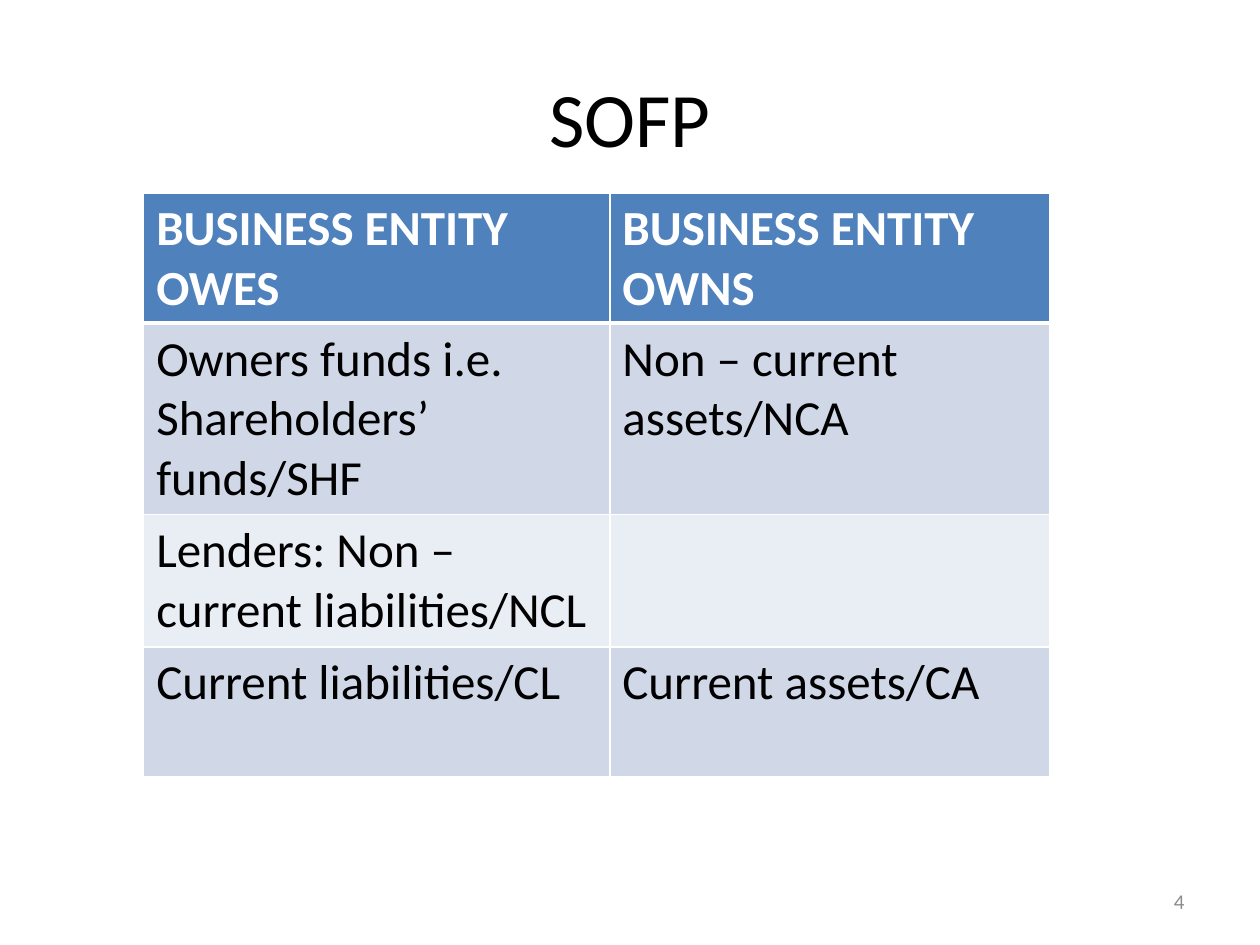
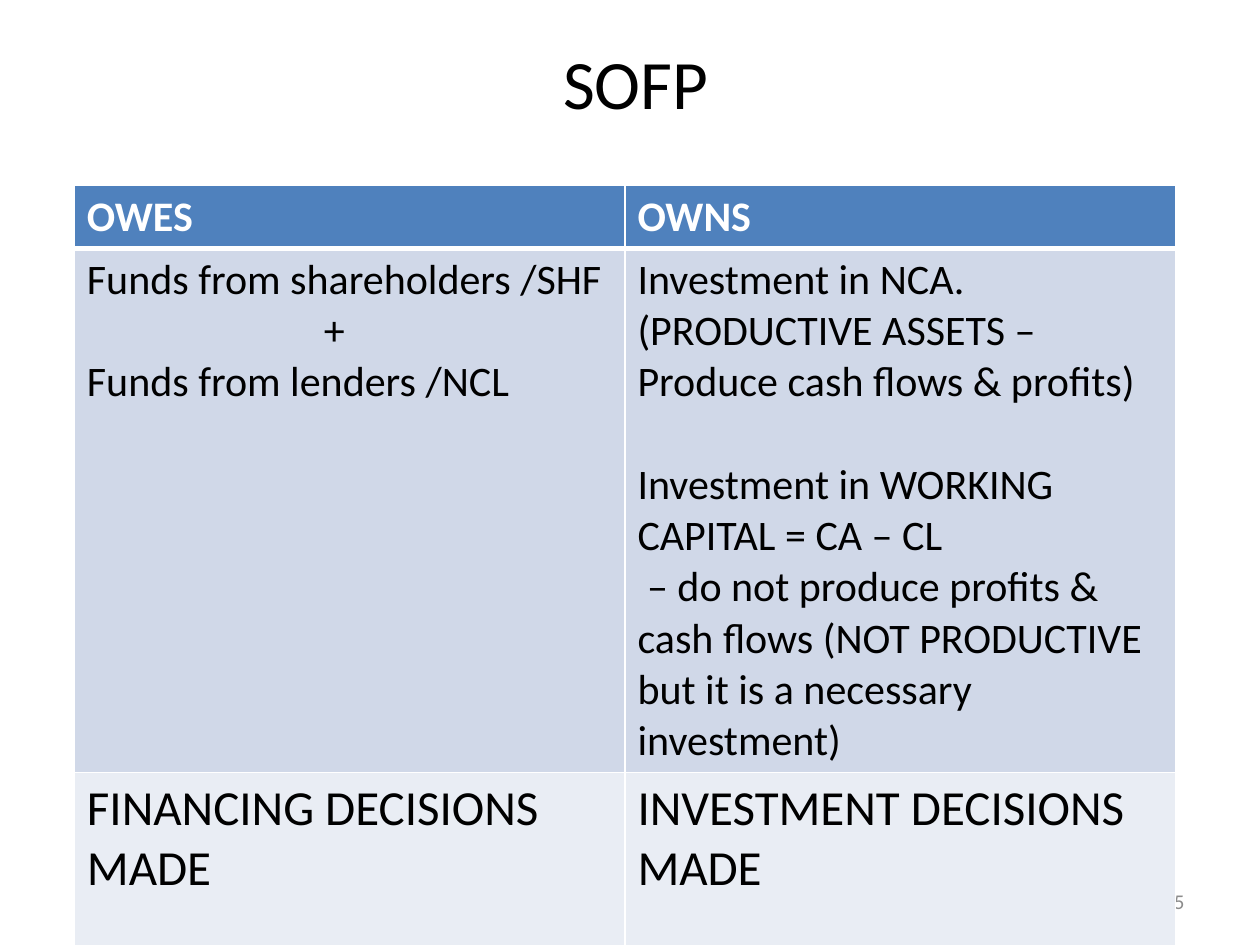
import pptx
import pptx.util
import pptx.dml.color
import pptx.enum.text
import pptx.oxml
import pptx.oxml.ns

Inches, Pt = pptx.util.Inches, pptx.util.Pt
ALIGN = pptx.enum.text.PP_ALIGN

# Shared look
FONT = "Calibri"
BLACK, WHITE, GREY = "000000", "FFFFFF", "8C8C8C"
HEADER, BANDS = "4F81BD", ("D0D8E8", "E9EDF4")
PAGE_NUMBER_BOX = (7.17, 6.95, 2.33, 0.4)


def color(hex_string):
    return pptx.dml.color.RGBColor.from_string(hex_string)


def write(paragraph, text, size, ink, bold=False):
    run = paragraph.add_run()
    run.text = text
    run.font.name, run.font.size, run.font.bold = FONT, Pt(size), bold
    run.font.color.rgb = color(ink)


# A cell is a list of lines: (text, left indent in inches, space before in points)
slides = [
    dict(
        number="4", title_size=44, title_box=(0.5, 0.3, 9, 1.25),
        corner=(1.14, 1.53), columns=(3.7, 3.49), rows=(1.03, 1.52, 1.05, 1.03),
        sizes=(28, 28, 28, 28),
        cells=[
            ([("BUSINESS ENTITY OWES", 0, 0)], [("BUSINESS ENTITY OWNS", 0, 0)]),
            ([("Owners funds i.e. Shareholders’ funds/SHF", 0, 0)],
             [("Non – current assets/NCA", 0, 0)]),
            ([("Lenders: Non – current liabilities/NCL", 0, 0)], []),
            ([("Current liabilities/CL", 0, 0)], [("Current assets/CA", 0, 0)]),
        ]),
    dict(
        number="5", title_size=39.6, title_box=(0.59, 0.3, 8.91, 0.69),
        corner=(0.59, 1.47), columns=(4.37, 4.37), rows=(0.5, 4.16, 1.42),
        sizes=(24, 24, 28),
        cells=[
            ([("OWES", 0, 0)], [("OWNS", 0, 0)]),
            ([("Funds from shareholders /SHF", 0, 0), ("+", 1.88, 0),
              ("Funds from lenders /NCL", 0, 0)],
             [("Investment in NCA. (PRODUCTIVE ASSETS – Produce cash flows & profits)", 0, 0),
              ("Investment in WORKING CAPITAL = CA – CL", 0, 29.3),
              (" – do not produce profits & cash flows (NOT PRODUCTIVE but it is "
               "a necessary investment)", 0, 0)]),
            ([("FINANCING DECISIONS", 0, 0), ("MADE", 0, 0)],
             [("INVESTMENT DECISIONS", 0, 0), ("MADE", 0, 0)]),
        ]),
]

deck = pptx.Presentation()
deck.slide_width, deck.slide_height = Inches(10), Inches(7.5)

for content in slides:
    slide = deck.slides.add_slide(deck.slide_layouts[6])

    # Title and page number
    for box, text, size, ink, align in (
            (content["title_box"], "SOFP", content["title_size"], BLACK, ALIGN.CENTER),
            (PAGE_NUMBER_BOX, content["number"], 12, GREY, ALIGN.RIGHT)):
        frame = slide.shapes.add_textbox(*map(Inches, box)).text_frame
        frame.word_wrap = True
        frame.vertical_anchor = pptx.enum.text.MSO_ANCHOR.MIDDLE
        frame.paragraphs[0].alignment = align
        write(frame.paragraphs[0], text, size, ink)

    # Table of what is owed and owned
    columns, rows = content["columns"], content["rows"]
    extent = (*content["corner"], sum(columns), sum(rows))
    table = slide.shapes.add_table(len(rows), len(columns), *map(Inches, extent)).table
    table.horz_banding = False
    for column, width in zip(table.columns, columns):
        column.width = Inches(width)
    for r, height in enumerate(rows):
        table.rows[r].height = Inches(height)
        for c, lines in enumerate(content["cells"][r]):
            cell = table.cell(r, c)

            # White borders, thicker under the header
            borders = cell._tc.get_or_add_tcPr()
            for side in "LRTB":
                thick = (r, side) in ((0, "B"), (1, "T"))
                borders.append(pptx.oxml.parse_xml(
                    f'<a:ln{side} {pptx.oxml.ns.nsdecls("a")} w="{Pt(3 if thick else 1)}">'
                    f'<a:solidFill><a:srgbClr val="{WHITE}"/></a:solidFill></a:ln{side}>'))
            cell.fill.solid()
            cell.fill.fore_color.rgb = color(BANDS[(r - 1) % 2] if r else HEADER)

            for i, (text, indent, gap) in enumerate(lines):
                frame = cell.text_frame
                paragraph = frame.add_paragraph() if i else frame.paragraphs[0]
                paragraph.space_before = Pt(gap)
                paragraph._p.get_or_add_pPr().set("marL", str(Inches(indent)))
                write(paragraph, text, content["sizes"][r], BLACK if r else WHITE, r == 0)

deck.save("out.pptx")
